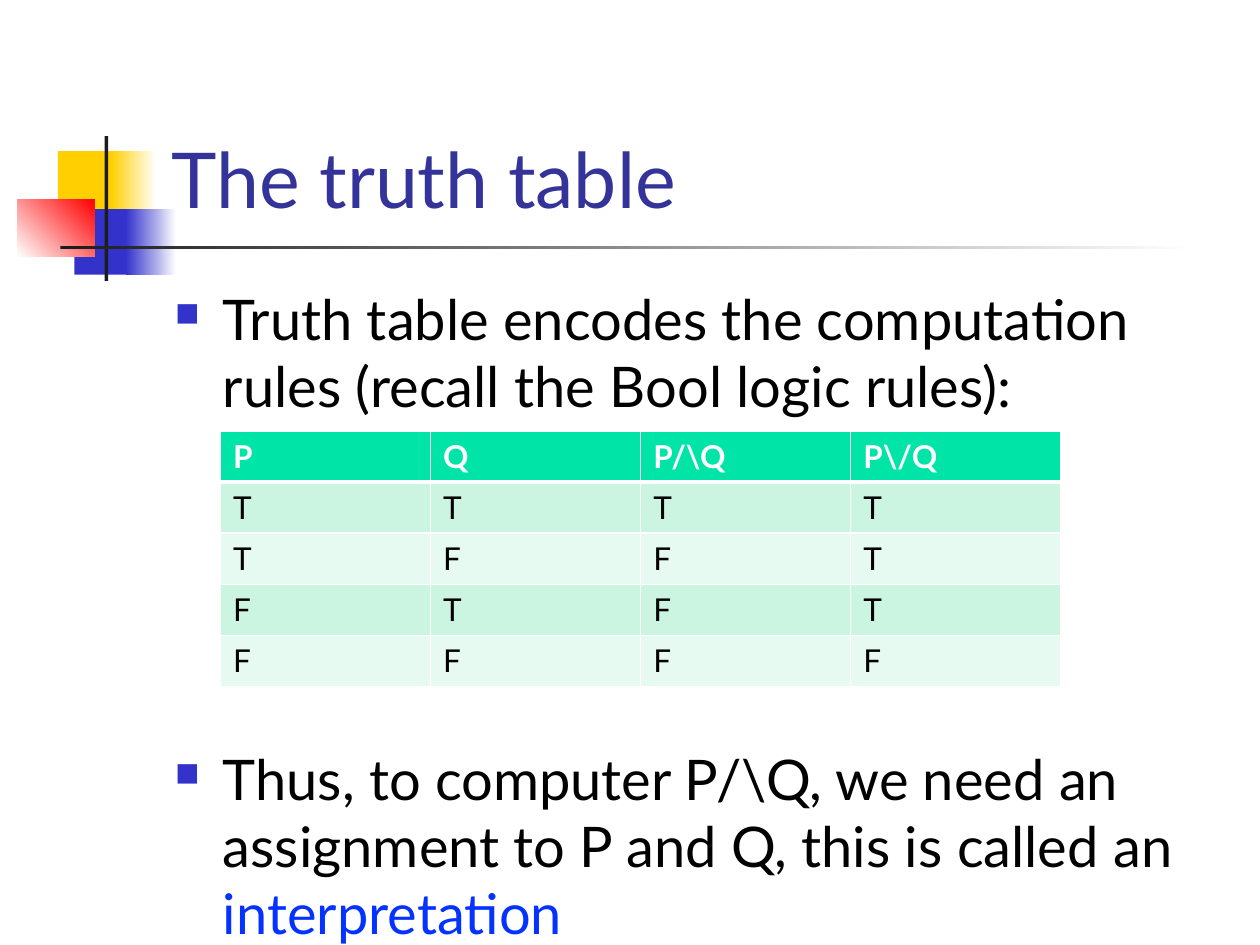
"""Build the truth table slide with its title, bullets and table."""
import pptx
import pptx.dml.color
import pptx.enum.shapes
import pptx.enum.text
import pptx.oxml
import pptx.oxml.ns
import pptx.util

Inches, Pt = pptx.util.Inches, pptx.util.Pt
RGB = pptx.dml.color.RGBColor.from_string
COLORS = {
    "white": "FFFFFF", "black": "000000", "ink": "1C1C1C", "yellow": "FFCF01",
    "blue": "3333CC", "red": "FF0000", "title": "333399", "term": "0432FF",
    "header": "00E4A8", "odd": "CCF5E1", "even": "E7FAF1",
}
NS = 'xmlns:a="http://schemas.openxmlformats.org/drawingml/2006/main"'


def add_run(paragraph, text, size, color, bold=False):
    run = paragraph.add_run()
    run.text = text
    for name, value in {"name": "Lato", "size": Pt(size), "bold": bold}.items():
        setattr(run.font, name, value)
    run.font.color.rgb = RGB(COLORS[color])


prs = pptx.Presentation()
prs.slide_width, prs.slide_height = Inches(10), Inches(7.5)
slide = prs.slides.add_slide(prs.slide_layouts[5])

ornaments = [
    (0.46, 1.2, 0.48, 0.52, ["yellow"], 0),
    (0.88, 1.2, 0.36, 0.52, ["yellow", "white"], 0),
    (0.59, 1.66, 0.46, 0.52, ["blue"], 0),
    (1, 1.66, 0.4, 0.52, ["blue", "white"], 0),
    (0.14, 1.58, 0.61, 0.46, ["white", "red"], 45),
    (0.83, 1.08, 0.03, 1.15, ["ink"], 0),
    (0.48, 1.95, 9, 0.03, ["ink", "white"], 0),
]
for left, top, width, height, shades, angle in ornaments:
    ornament = slide.shapes.add_shape(
        pptx.enum.shapes.MSO_SHAPE.RECTANGLE,
        Inches(left), Inches(top), Inches(width), Inches(height))
    ornament.shadow.inherit = False
    ornament.line.fill.background()
    if len(shades) == 1:
        ornament.fill.solid()
        ornament.fill.fore_color.rgb = RGB(COLORS[shades[0]])
    else:
        ornament.fill.gradient()
        ornament.fill.gradient_angle = angle
        for stop, shade in zip(ornament.fill.gradient_stops, shades):
            stop.color.rgb = RGB(COLORS[shade])

title = slide.shapes.title
title_place = {"left": 1.26, "top": 0.23, "width": 8.52, "height": 1.6}
for name, value in title_place.items():
    setattr(title, name, Inches(value))
title_format = {
    "vertical_anchor": pptx.enum.text.MSO_ANCHOR.BOTTOM,
    "auto_size": pptx.enum.text.MSO_AUTO_SIZE.NONE,
    "word_wrap": True,
}
for name, value in title_format.items():
    setattr(title.text_frame, name, value)
heading = title.text_frame.paragraphs[0]
heading.alignment = pptx.enum.text.PP_ALIGN.LEFT
add_run(heading, "The truth table", 44, "title")

points = slide.shapes.add_textbox(
    Inches(1.29), Inches(2.21), Inches(8.5), Inches(4.5)).text_frame
points.word_wrap = True
bullets = [
    (0, [("Truth table encodes the computation rules (recall the Bool logic rules):", "black")]),
    (186, [("Thus, to computer P/\\Q, we need an assignment to P and Q, this is called an ", "black"),
           ("interpretation", "term")]),
]
for index, (space, phrases) in enumerate(bullets):
    point = points.add_paragraph() if index else points.paragraphs[0]
    point.space_before = Pt(space)
    properties = point._p.get_or_add_pPr()
    properties.set("marL", str(Inches(0.38)))
    properties.set("indent", str(Inches(-0.38)))
    for bullet_xml in (
        f'<a:buClr {NS}><a:srgbClr val="{COLORS["blue"]}"/></a:buClr>',
        f'<a:buSzPct {NS} val="60000"/>',
        f'<a:buChar {NS} char="■"/>',
    ):
        properties.append(pptx.oxml.parse_xml(bullet_xml))
    for text, color in phrases:
        add_run(point, text, 32, color)

truth_rows = [
    ["P", "Q", "P/\\Q", "P\\/Q"],
    ["T", "T", "T", "T"],
    ["T", "F", "F", "T"],
    ["F", "T", "F", "T"],
    ["F", "F", "F", "F"],
]
truth_table = slide.shapes.add_table(
    len(truth_rows), len(truth_rows[0]),
    Inches(1.75), Inches(3.42), Inches(6.67), Inches(2.03)).table
for row, values in enumerate(truth_rows):
    fill = "header" if row == 0 else "odd" if row % 2 else "even"
    borders = {"L": 1, "R": 1, "T": 3 if row == 1 else 1, "B": 3 if row == 0 else 1}
    for column, value in enumerate(values):
        cell = truth_table.cell(row, column)
        cell_properties = cell._tc.get_or_add_tcPr()
        for side, points_wide in borders.items():
            cell_properties.append(pptx.oxml.parse_xml(
                f'<a:ln{side} {NS} w="{Pt(points_wide)}"><a:solidFill>'
                f'<a:srgbClr val="{COLORS["white"]}"/></a:solidFill></a:ln{side}>'))
        cell.fill.solid()
        cell.fill.fore_color.rgb = RGB(COLORS[fill])
        add_run(cell.text_frame.paragraphs[0], value, 18,
                "black" if row else "white", bold=row == 0)

prs.save("out.pptx")
